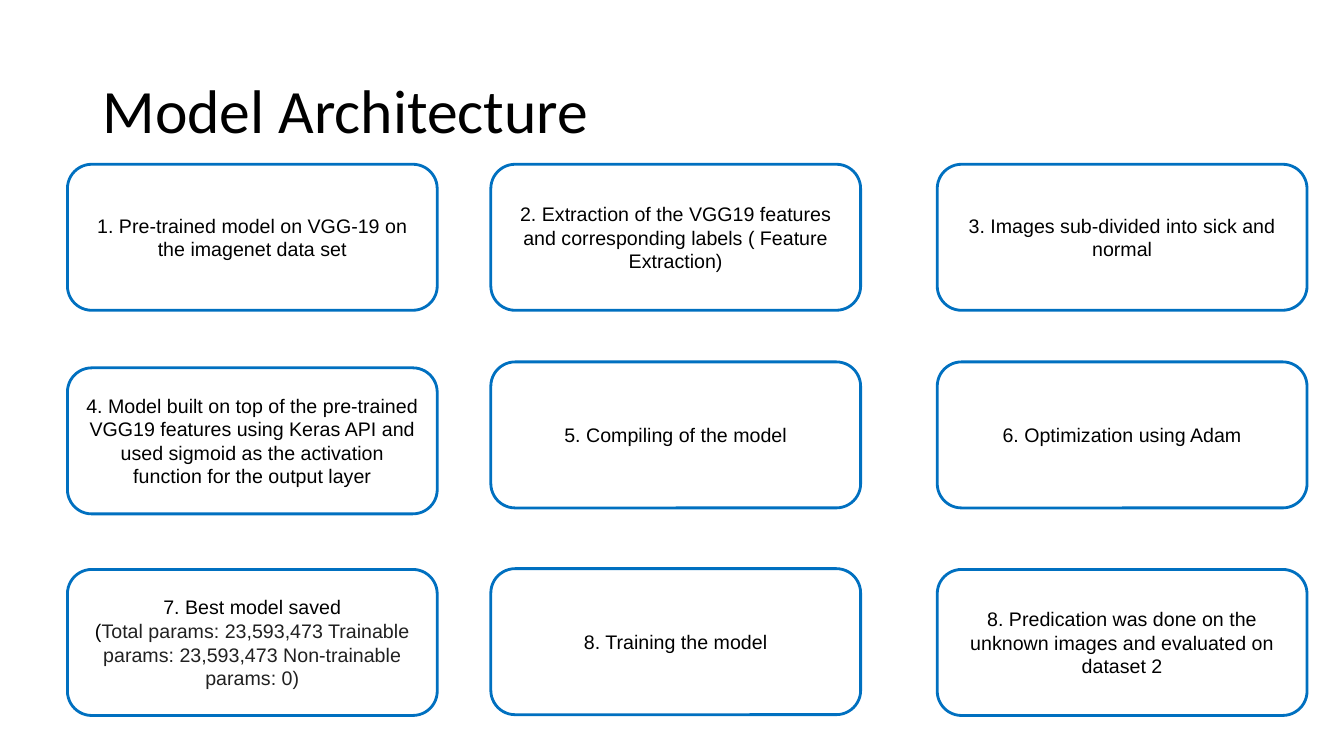
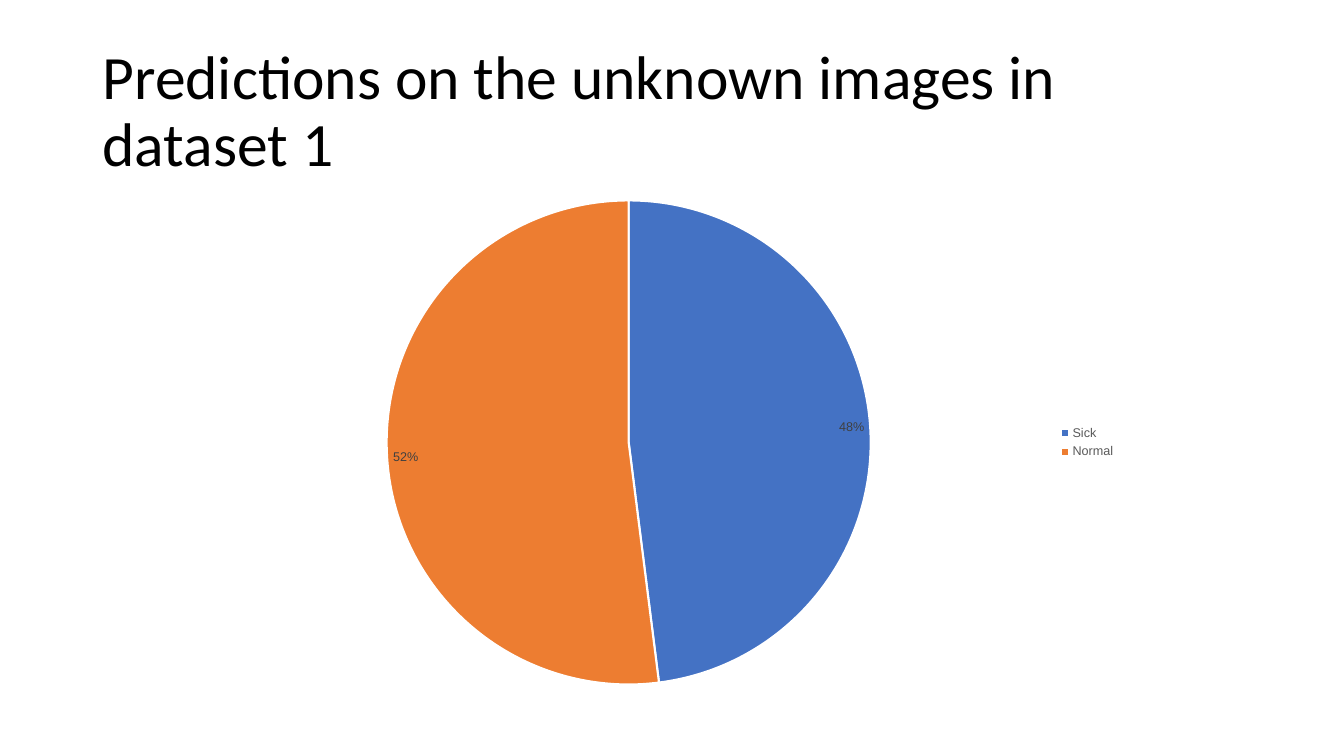
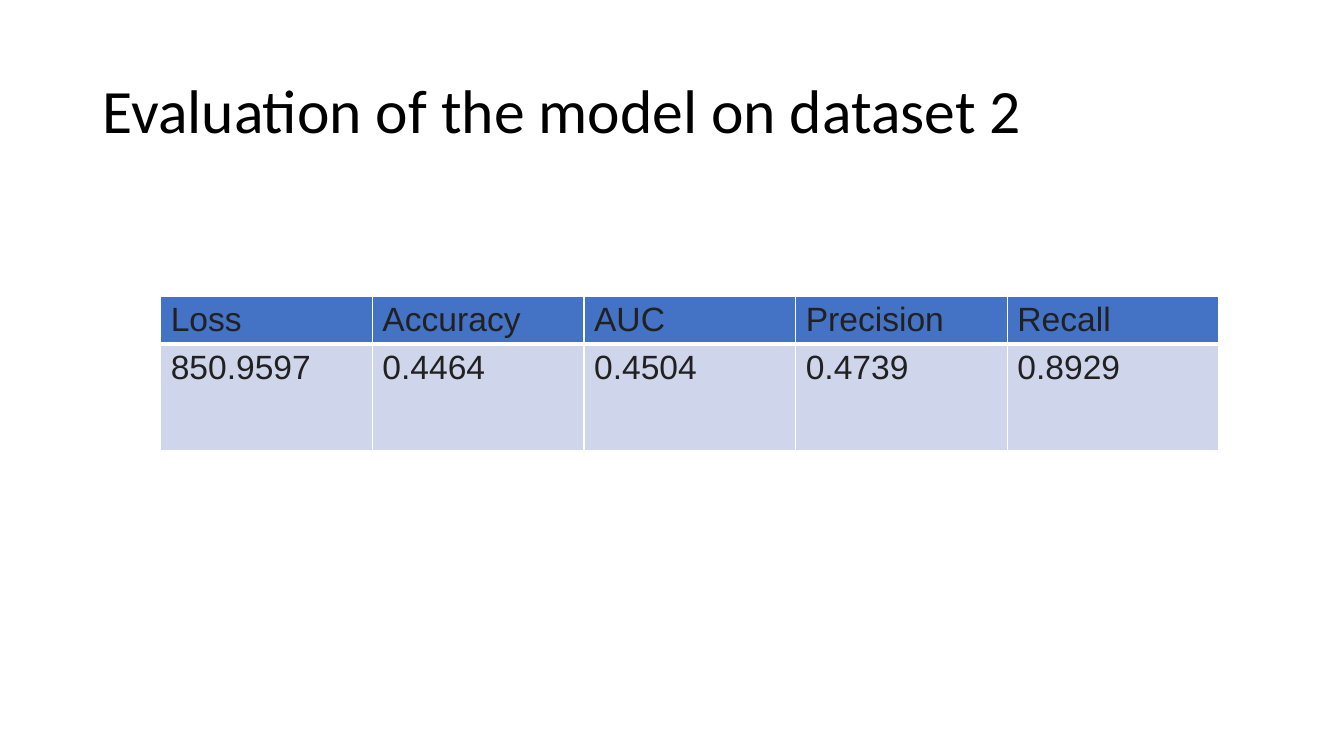
"""Build three slides on an image classification model: steps, predictions and evaluation."""
import pptx
import pptx.chart.data
import pptx.dml.color
import pptx.enum.chart
import pptx.enum.shapes
import pptx.enum.text
import pptx.oxml
import pptx.oxml.ns
import pptx.util
from pptx.util import Cm

COLORS = {
    "white": "FFFFFF",
    "black": "000000",
    "ink": "212121",
    "outline": "0070C0",
    "blue": "4472C4",
    "orange": "ED7D31",
    "pale": "CFD5EA",
    "label": "404040",
    "legend": "595959",
}
BODY_FONT = "Arial"
TITLE_FONT = "Calibri"


def rgb(name):
    """Return the named colour."""
    return pptx.dml.color.RGBColor.from_string(COLORS[name])


def fill_solid(target, color):
    """Fill a shape, cell or chart point with one colour."""
    target.fill.solid()
    target.fill.fore_color.rgb = rgb(color)


def set_font(font, size, color, name=BODY_FONT):
    """Apply the size, colour and typeface to a font."""
    font.size = pptx.util.Pt(size)
    font.color.rgb = rgb(color)
    font.name = name
    font.bold = False


def add_run(paragraph, text, size, color, name=BODY_FONT):
    """Append one formatted run to a paragraph."""
    run = paragraph.add_run()
    run.text = text
    set_font(run.font, size, color, name)


def set_borders(cell, color, widths):
    """Draw the left, right, top and bottom borders of a cell."""
    properties = cell._tc.get_or_add_tcPr()
    for index, (side, width) in enumerate(zip("LRTB", widths)):
        border = pptx.oxml.parse_xml(
            f'<a:ln{side} {pptx.oxml.ns.nsdecls("a")} w="{pptx.util.Pt(width)}">'
            f'<a:solidFill><a:srgbClr val="{COLORS[color]}"/></a:solidFill></a:ln{side}>'
        )
        properties.insert(index, border)


class Deck:
    """Hold the shared style and the current slide."""

    def __init__(self):
        """Start a widescreen presentation."""
        self.presentation = pptx.Presentation()
        self.presentation.slide_width = Cm(33.87)
        self.presentation.slide_height = Cm(19.05)
        self.slide = None

    def add_slide(self, title):
        """Start a white slide with a title."""
        layout = self.presentation.slide_layouts.get_by_name("Title Only")
        self.slide = self.presentation.slides.add_slide(layout)
        fill_solid(self.slide.background, "white")
        shape = self.slide.shapes.title
        shape.left, shape.top = Cm(2.33), Cm(1.01)
        shape.width, shape.height = Cm(29.21), Cm(3.68)
        frame = shape.text_frame
        frame.word_wrap = True
        frame.auto_size = pptx.enum.text.MSO_AUTO_SIZE.NONE
        frame.vertical_anchor = pptx.enum.text.MSO_ANCHOR.MIDDLE
        paragraph = frame.paragraphs[0]
        paragraph.alignment = pptx.enum.text.PP_ALIGN.LEFT
        paragraph.line_spacing = 0.9
        add_run(paragraph, title, 44, "black", TITLE_FONT)

    def add_step(self, left, top, lines):
        """Add a rounded box; each line is a list of text and colour pairs."""
        shape = self.slide.shapes.add_shape(
            pptx.enum.shapes.MSO_SHAPE.ROUNDED_RECTANGLE,
            Cm(left), Cm(top), Cm(9.32), Cm(3.68),
        )
        shape.shadow.inherit = False
        fill_solid(shape, "white")
        shape.line.color.rgb = rgb("outline")
        shape.line.width = pptx.util.Pt(2)
        frame = shape.text_frame
        frame.word_wrap = True
        frame.vertical_anchor = pptx.enum.text.MSO_ANCHOR.MIDDLE
        for index, runs in enumerate(lines):
            paragraph = frame.add_paragraph() if index else frame.paragraphs[0]
            paragraph.alignment = pptx.enum.text.PP_ALIGN.CENTER
            for text, color in runs:
                add_run(paragraph, text, 14, color)

    def add_pie(self, left, top, width, height, shares):
        """Add a pie chart from a dict of category to value and colour."""
        data = pptx.chart.data.CategoryChartData()
        data.categories = list(shares)
        data.add_series("Series 1", [value for value, color in shares.values()])
        chart = self.slide.shapes.add_chart(
            pptx.enum.chart.XL_CHART_TYPE.PIE,
            Cm(left), Cm(top), Cm(width), Cm(height), data,
        ).chart
        set_font(chart.font, 10, "black")
        chart.has_title = False
        chart.has_legend = True
        chart.legend.position = pptx.enum.chart.XL_LEGEND_POSITION.RIGHT
        chart.legend.include_in_layout = False
        set_font(chart.legend.font, 9, "legend")
        plot = chart.plots[0]
        plot.vary_by_categories = True
        for index, (value, color) in enumerate(shares.values()):
            point = plot.series[0].points[index]
            fill_solid(point.format, color)
            point.format.line.color.rgb = rgb("white")
            point.format.line.width = pptx.util.Pt(1.5)
        labels = plot.series[0].data_labels
        labels.show_value = False
        labels.show_percentage = True
        labels.number_format = "0%"
        labels.number_format_is_linked = False
        labels.position = pptx.enum.chart.XL_LABEL_POSITION.INSIDE_END
        set_font(labels.font, 9, "label")

    def add_table(self, left, top, width, heights, rows):
        """Add a table with a blue header row and pale body rows."""
        table = self.slide.shapes.add_table(
            len(rows), len(rows[0]), Cm(left), Cm(top), Cm(width), Cm(sum(heights))
        ).table
        table.first_row = False
        table.horz_banding = False
        for row_index, texts in enumerate(rows):
            table.rows[row_index].height = Cm(heights[row_index])
            for column_index, text in enumerate(texts):
                cell = table.cell(row_index, column_index)
                fill_solid(cell, "pale" if row_index else "blue")
                set_borders(cell, "white", (1, 1, 1, 1 if row_index else 3))
                add_run(cell.text_frame.paragraphs[0], text, 24, "ink")


STEPS = [
    "1. Pre-trained model on VGG-19 on the imagenet data set",
    "2. Extraction of the VGG19 features and corresponding labels ( Feature Extraction)",
    "3. Images sub-divided into sick and normal",
    "4. Model built on top of the pre-trained VGG19 features using Keras API and used "
    "sigmoid as the activation function for the output layer",
    "5. Compiling of the model",
    "6. Optimization using Adam",
    "7. Best model saved",
    "8. Training the model",
    "8. Predication was done on the unknown images and evaluated on dataset 2",
]
PARAMETERS = [
    ("(", "black"),
    ("Total params: 23,593,473 Trainable params: 23,593,473 Non-trainable params: 0)", "ink"),
]
COLUMN_LEFTS = (1.7, 12.37, 23.62)
ROW_TOPS = ((4.14, 4.14, 4.14), (9.27, 9.12, 9.12), (14.35, 14.33, 14.35))

deck = Deck()

deck.add_slide("Model Architecture")
for number, step in enumerate(STEPS):
    row, column = divmod(number, len(COLUMN_LEFTS))
    lines = [[(step, "black")]]
    if step.startswith("7."):
        lines.append(PARAMETERS)
    deck.add_step(COLUMN_LEFTS[column], ROW_TOPS[row][column], lines)

deck.add_slide("Predictions on the unknown images in dataset 1")
deck.add_pie(5.05, 4.7, 23.32, 12.9, {"Sick": (48, "blue"), "Normal": (52, "orange")})

deck.add_slide("Evaluation of the model on dataset 2")
deck.add_table(4.05, 7.47, 26.67, (1.19, 2.69), [
    ["Loss", "Accuracy", "AUC", "Precision", "Recall"],
    ["850.9597", "0.4464", "0.4504", "0.4739", "0.8929"],
])

deck.presentation.save("out.pptx")
